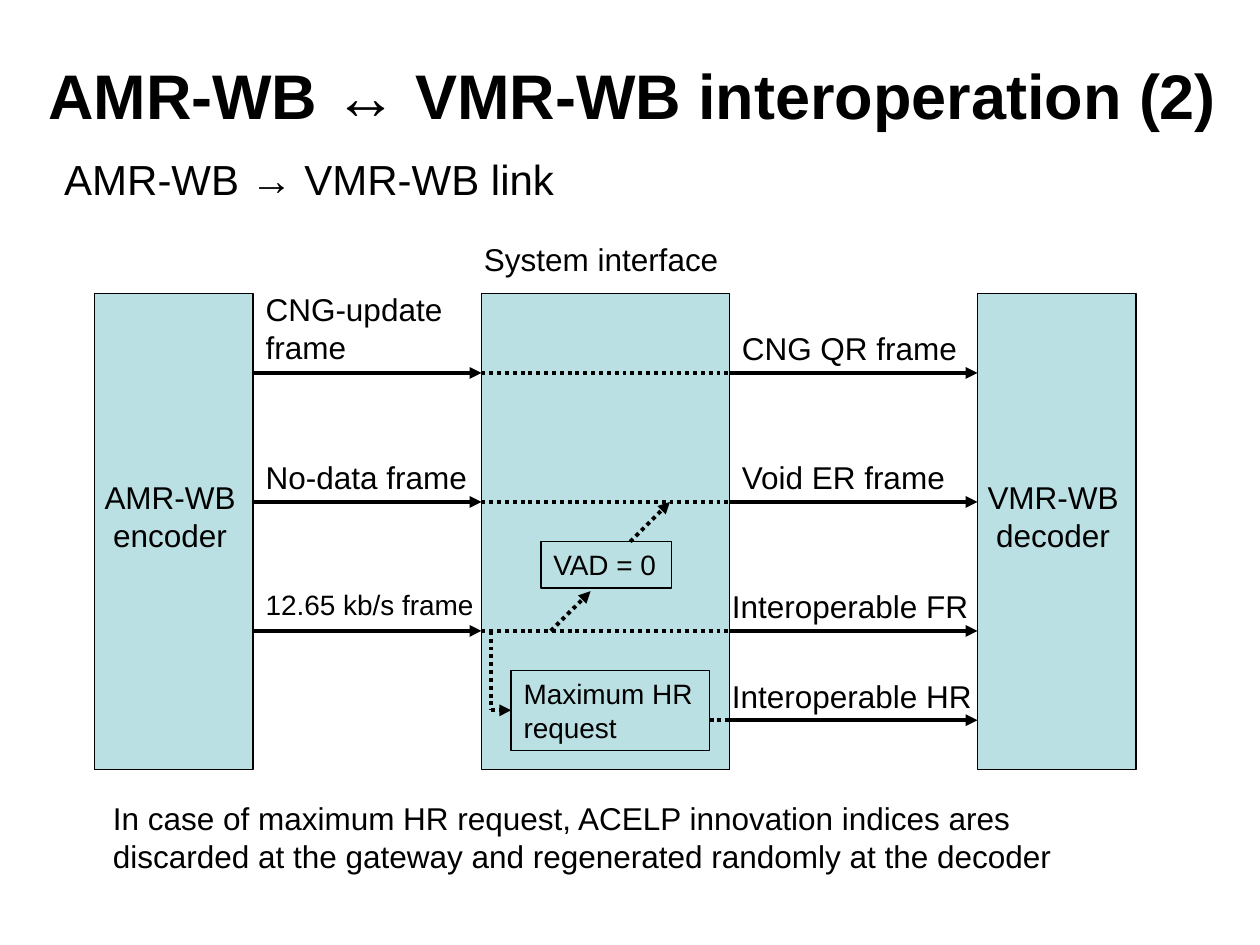
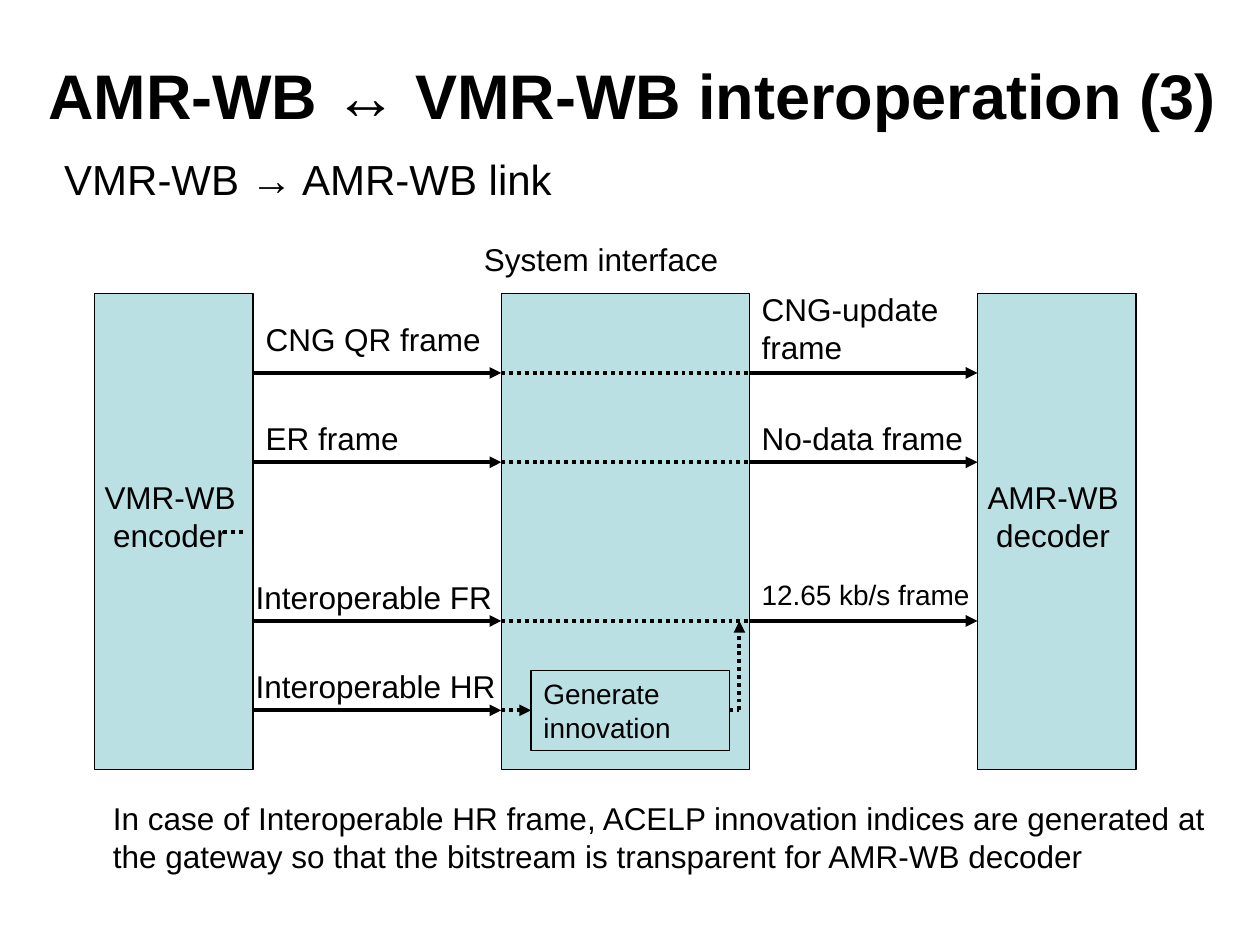
from dataclasses import dataclass

from lxml import etree
from pptx import Presentation
from pptx.dml.color import RGBColor
from pptx.enum.dml import MSO_LINE
from pptx.enum.shapes import MSO_CONNECTOR, MSO_SHAPE
from pptx.enum.text import MSO_ANCHOR, MSO_AUTO_SIZE, PP_ALIGN
from pptx.oxml.ns import qn
from pptx.util import Inches, Mm, Pt

BLACK = RGBColor(0x00, 0x00, 0x00)
TEAL = RGBColor(0xBB, 0xE0, 0xE3)
FONT = "Arial"
LEFT, CENTER = PP_ALIGN.LEFT, PP_ALIGN.CENTER
TOP, MIDDLE = MSO_ANCHOR.TOP, MSO_ANCHOR.MIDDLE
RECT, LINE = MSO_SHAPE.RECTANGLE, MSO_CONNECTOR.STRAIGHT
DOTS, GROW = MSO_LINE.ROUND_DOT, MSO_AUTO_SIZE.SHAPE_TO_FIT_TEXT

# The grid has 2 mm cells and starts at the top left corner of the encoder.
CELL = Mm(2)
LEFT_EDGE, TOP_EDGE = Inches(0.75), Inches(2.33)
CODEC_W, GATE_W, TALL = 16, 25, 48
DECODER = 89


@dataclass
class Label:
    text: str
    top: float
    width: float
    size: int = 18
    shift: int = 0


@dataclass
class Lane:
    """One frame type: what enters and what leaves the interface."""
    row: int
    enter: Label | None = None
    leave: Label | None = None


@dataclass
class Box:
    text: str
    col: int
    row: int
    width: float
    height: float
    wrap: bool = True


@dataclass
class Dotted:
    """A dotted route through grid points."""
    points: list[tuple[int, int]]
    arrow: bool = True


@dataclass
class Link:
    number: int
    source: str
    target: str
    gate: int
    lanes: list[Lane]
    boxes: list[Box]
    routes: list[Dotted]
    note: str
    note_w: float


def span(cells: float) -> int:
    return round(cells * CELL)


def place(col: float, row: float) -> tuple[int, int]:
    return LEFT_EDGE + span(col), TOP_EDGE + span(row)


def write(shape, text: str, size: int, align=LEFT, wrap=False,
          bold=False, anchor=TOP) -> None:
    frame = shape.text_frame
    frame.word_wrap = wrap
    frame.vertical_anchor = anchor
    for i, line in enumerate(text.split("\n")):
        para = frame.add_paragraph() if i else frame.paragraphs[0]
        para.alignment = align
        run = para.add_run()
        run.text = line
        font = run.font
        font.name, font.size, font.bold = FONT, Pt(size), bold
        font.color.rgb = BLACK


def add_text(slide, text: str, col: float, row: float, width: float,
             size=18, align=LEFT, wrap=False) -> None:
    height = Pt(size * 1.2 * (text.count("\n") + 1)) + Inches(0.1)
    box = slide.shapes.add_textbox(*place(col, row), span(width), height)
    write(box, text, size, align, wrap)
    box.text_frame.auto_size = GROW


def add_rect(slide, col: float, row: float, width: float, height: float,
             fill: RGBColor | None = None):
    rect = slide.shapes.add_shape(RECT, *place(col, row),
                                  span(width), span(height))
    rect.shadow.inherit = False
    rect.line.color.rgb = BLACK
    rect.line.width = Pt(0.75)
    if fill is None:
        rect.fill.background()
    else:
        rect.fill.solid()
        rect.fill.fore_color.rgb = fill
    return rect


def add_line(slide, start: tuple[int, int], end: tuple[int, int],
             arrow=True, dotted=False) -> None:
    wire = slide.shapes.add_connector(LINE, *place(*start), *place(*end))
    wire.line.color.rgb = BLACK
    wire.line.width = Pt(2.25)
    if dotted:
        wire.line.dash_style = DOTS
    props = wire._element.spPr
    if arrow:
        tip = etree.SubElement(props.find(qn("a:ln")), qn("a:tailEnd"))
        tip.set("type", "triangle")
    etree.SubElement(props, qn("a:effectLst"))


def add_lane(slide, lane: Lane, gate: int) -> None:
    exit_col = gate + GATE_W
    for label, start, end in ((lane.enter, CODEC_W, gate),
                              (lane.leave, exit_col, DECODER)):
        if label:
            add_text(slide, label.text, start + label.shift, label.top,
                     label.width, label.size)
            add_line(slide, (start, lane.row), (end, lane.row))
    if lane.enter and lane.leave:
        add_line(slide, (gate, lane.row), (exit_col, lane.row),
                 arrow=False, dotted=True)


def add_route(slide, route: Dotted) -> None:
    legs = list(zip(route.points, route.points[1:]))
    for i, (start, end) in enumerate(legs, 1):
        add_line(slide, start, end, route.arrow and i == len(legs), True)


def add_head(slide, link: Link) -> None:
    title = slide.shapes.title
    title.left, title.top = Inches(0.27), Inches(0.28)
    title.width, title.height = Inches(9.5), Inches(0.93)
    write(title, f"AMR-WB ↔ VMR-WB interoperation ({link.number})", 36,
          CENTER, wrap=True, bold=True, anchor=MIDDLE)
    add_text(slide, f"{link.source} → {link.target} link",
             -4.3, -14.7, 52.5, size=24)


def build(deck, link: Link) -> None:
    slide = deck.slides.add_slide(deck.slide_layouts[5])
    add_head(slide, link)
    codecs = ((0, f"{link.source} encoder"),
              (DECODER, f"{link.target} decoder"))
    for col, _ in codecs:
        add_rect(slide, col, 0, CODEC_W, TALL, TEAL)
    add_rect(slide, link.gate, 0, GATE_W, TALL, TEAL)
    for col, name in codecs:
        add_text(slide, name, col - 1, 18, 17.25, align=CENTER, wrap=True)
    for box in link.boxes:
        rect = add_rect(slide, box.col, box.row, box.width, box.height)
        write(rect, box.text, 16, wrap=box.wrap)
        rect.text_frame.auto_size = GROW
    for lane in link.lanes:
        add_lane(slide, lane, link.gate)
    for route in link.routes:
        add_route(slide, route)
    add_text(slide, link.note, 0.6, 50.3, link.note_w, wrap=True)
    add_text(slide, "System interface", 38, -6, 26.6)


def update(top: float) -> Label:
    return Label("CNG-update\nframe", top, 21.6)


def no_data(top: float) -> Label:
    return Label("No-data frame", top, 23.3)


def rate(top: float) -> Label:
    return Label("12.65 kb/s frame", top, 23.9, size=16)


def quarter(top: float) -> Label:
    return Label("CNG QR frame", top, 24.7)


def inter(kind: str, top: float) -> Label:
    return Label(f"Interoperable {kind}", top, 27.2, shift=-1)


LINKS = [
    Link(
        2, "AMR-WB", "VMR-WB", 39,
        lanes=[
            Lane(8, update(-1), quarter(3)),
            Lane(21, no_data(16), Label("Void ER frame", 16, 23.5)),
            Lane(34, rate(29), inter("FR", 29)),
            Lane(43, leave=inter("HR", 38)),
        ],
        boxes=[
            Box("Maximum HR\nrequest", 42, 38, 20, 8.1),
            Box("VAD = 0", 45, 25, 13.2, 4.7, wrap=False),
        ],
        routes=[
            Dotted([(46, 34), (50, 30)]),
            Dotted([(54, 25), (58, 21)]),
            Dotted([(40, 34), (40, 42), (42, 42)]),
            Dotted([(62, 43), (64, 43)], arrow=False),
        ],
        note="In case of maximum HR request, ACELP innovation indices ares "
             "discarded at the gateway and regenerated randomly at the "
             "decoder",
        note_w=104.3,
    ),
    Link(
        3, "VMR-WB", "AMR-WB", 41,
        lanes=[
            Lane(8, quarter(2), update(-1)),
            Lane(17, Label("ER frame", 12, 16.8), no_data(12)),
            Lane(33, inter("FR", 28), rate(28)),
            Lane(42, enter=inter("HR", 37)),
        ],
        boxes=[Box("Generate innovation", 44, 38, 20, 8.1)],
        routes=[
            Dotted([(41, 42), (44, 42)]),
            Dotted([(13, 24), (15, 24)], arrow=False),
            Dotted([(64, 42), (65, 42), (65, 33)]),
        ],
        note="In case of Interoperable HR frame, ACELP innovation indices "
             "are generated at the gateway so that the bitstream is "
             "transparent for AMR-WB decoder",
        note_w=114.3,
    ),
]


def main() -> None:
    deck = Presentation()
    deck.slide_width, deck.slide_height = Inches(10), Inches(7.5)
    for link in LINKS:
        build(deck, link)
    deck.save("out.pptx")


if __name__ == "__main__":
    main()
